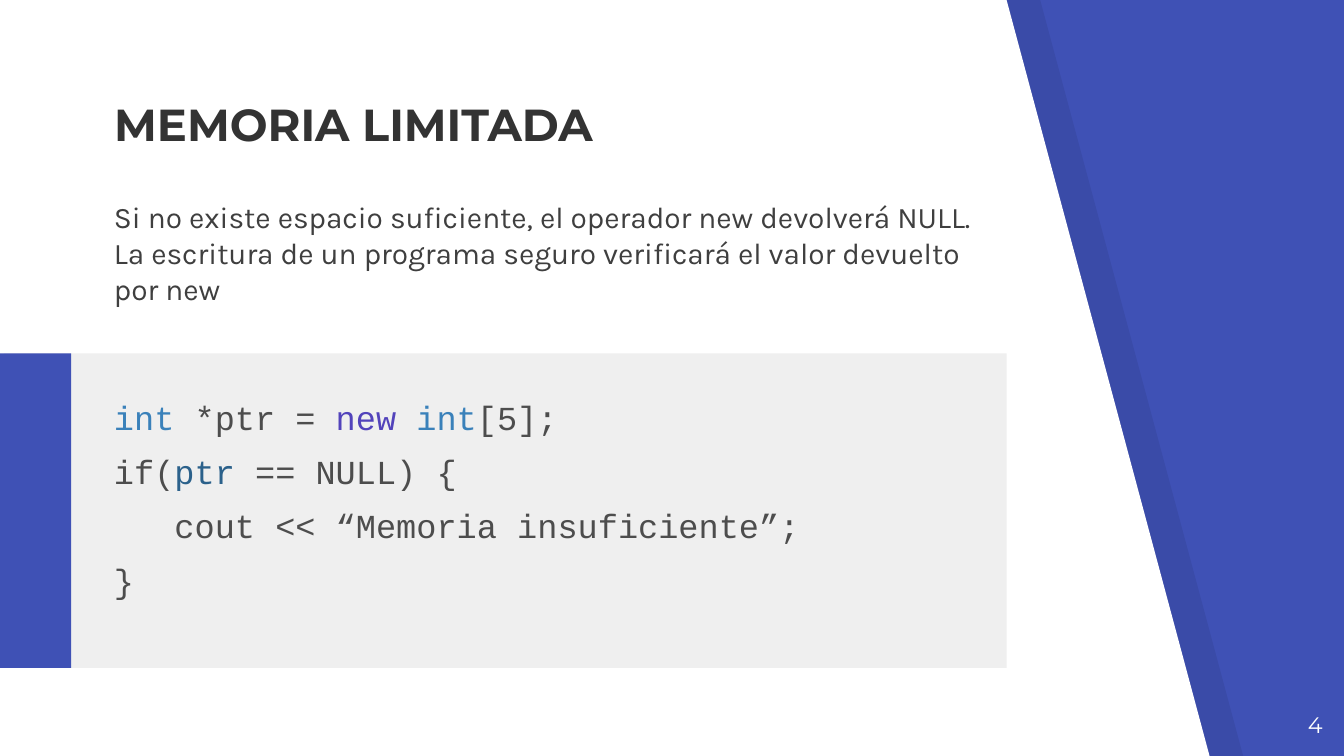
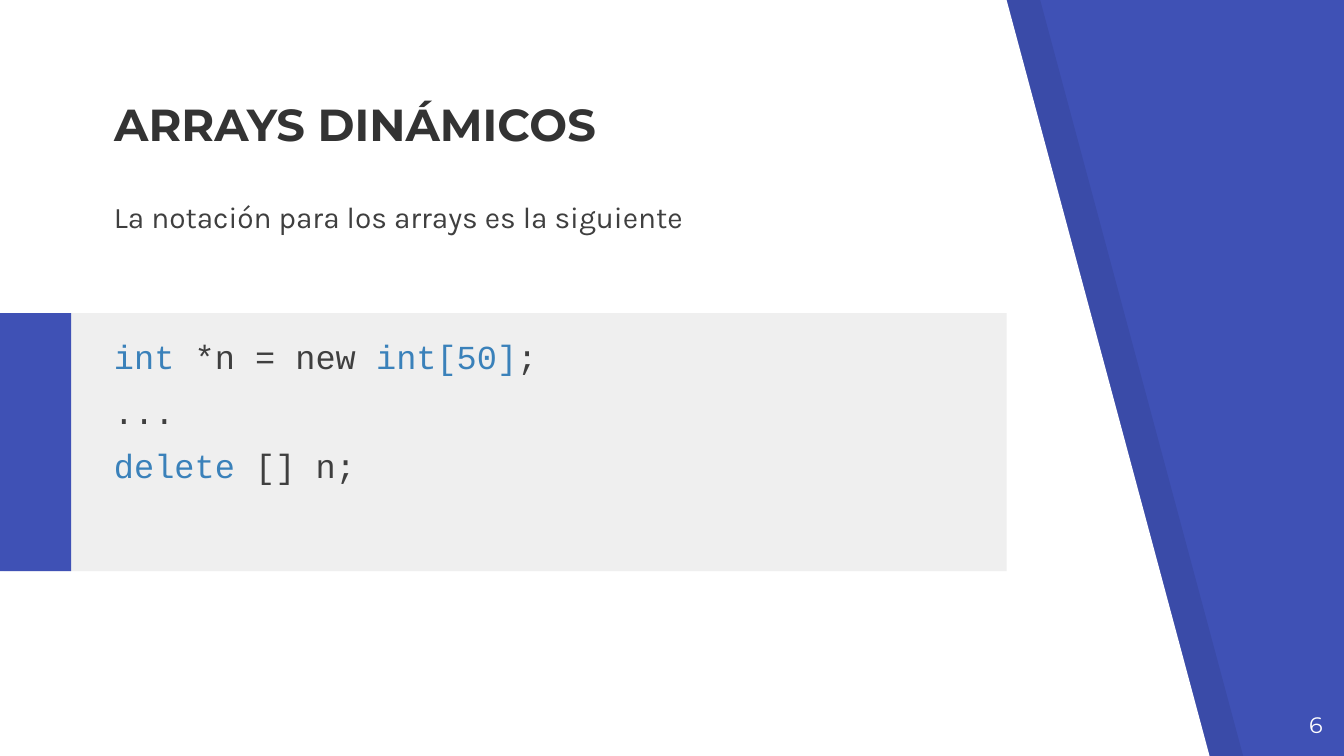
from lxml.etree import SubElement
from pptx import Presentation
from pptx.dml.color import RGBColor
from pptx.enum.shapes import MSO_SHAPE
from pptx.enum.text import MSO_ANCHOR, MSO_AUTO_SIZE, PP_ALIGN
from pptx.oxml.ns import qn
from pptx.util import Inches, Pt

WIDTH = Inches(10)
HEIGHT = WIDTH * 9 // 16

INDIGO, WHITE, BLACK, PALE = "3F51B5", "FFFFFF", "000000", "EFEFEF"
HEADING_INK, BODY_INK, CODE_INK = "333333", "3F3F3F", "4D4D4D"
TYPE_BLUE, NAME_BLUE, VIOLET = "3A81BA", "2B618B", "5243BB"
HEADING_FONT, BODY_FONT, CODE_FONT = "Montserrat", "Karla", "Courier New"

# The text column and the slanted page edge shared by both slides
COLUMN_LEFT, COLUMN_WIDTH = 0.75, 6.73
EDGE_TOP, EDGE_BOTTOM = 7.49, 9
SHADE_OFFSET = 0.25
CODE_INDENT = 0.45  # three characters of 18 pt code


def rgb(hex_colour):
    """Turn a hex string into a colour."""
    return RGBColor.from_string(hex_colour)


def paint(shape, colour, opacity=None):
    """Give a shape a flat fill without line or shadow."""
    shape.shadow.inherit = False
    shape.line.fill.background()
    shape.fill.solid()
    shape.fill.fore_color.rgb = rgb(colour)
    if opacity is not None:
        fill = shape._element.spPr.find(qn("a:solidFill"))
        SubElement(fill[0], qn("a:alpha")).set("val", str(opacity * 1000))


def add_slanted_page(slide, offset, colour, opacity=None):
    """Draw the page whose right edge leans outwards to the bottom."""
    left = Inches(offset)
    outline = slide.shapes.build_freeform(left, 0)
    outline.add_line_segments([
        (left, HEIGHT),
        (Inches(EDGE_BOTTOM + offset), HEIGHT),
        (Inches(EDGE_TOP + offset), 0),
    ], close=True)
    paint(outline.convert_to_shape(), colour, opacity)


def add_code_band(slide, top, height):
    """Draw the pale code panel with its indigo tab, as one group."""
    band = slide.shapes.add_group_shape()
    for left, right, colour in ((0.03, EDGE_TOP, PALE), (0, 0.53, INDIGO)):
        panel = band.shapes.add_shape(
            MSO_SHAPE.RECTANGLE, Inches(left), Inches(top),
            Inches(right - left), Inches(height))
        paint(panel, colour)


def set_frame(frame, anchor=MSO_ANCHOR.TOP, inset_top=0.1):
    """Set wrapping, anchor and insets of a text frame."""
    frame.word_wrap = True
    frame.auto_size = MSO_AUTO_SIZE.NONE
    frame.vertical_anchor = anchor
    frame.margin_left = frame.margin_right = frame.margin_bottom = Inches(0.1)
    frame.margin_top = Inches(inset_top)


def add_run(paragraph, text, font, size, colour, bold=False):
    """Append one formatted run."""
    run = paragraph.add_run()
    run.text = text
    run.font.name = font
    run.font.size = Pt(size)
    run.font.bold = bold
    run.font.color.rgb = rgb(colour)


def add_text_frame(slide, left, top, width, height, **frame_options):
    """Add a text box and return its frame."""
    box = slide.shapes.add_textbox(
        Inches(left), Inches(top), Inches(width), Inches(height))
    set_frame(box.text_frame, **frame_options)
    return box.text_frame


def set_title(slide, heading):
    """Place the title placeholder above the page and write the heading."""
    title = slide.shapes.title
    title.left, title.top = Inches(COLUMN_LEFT), Inches(0.77)
    title.width, title.height = Inches(COLUMN_WIDTH), Inches(0.45)
    slide.shapes._spTree.append(title._element)
    set_frame(title.text_frame, MSO_ANCHOR.BOTTOM)
    paragraph = title.text_frame.paragraphs[0]
    paragraph.alignment = PP_ALIGN.LEFT
    add_run(paragraph, heading, HEADING_FONT, 24, HEADING_INK, bold=True)


def add_explanation(slide, sentence):
    """Write the sentences under the title."""
    frame = add_text_frame(slide, COLUMN_LEFT, 1.38, COLUMN_WIDTH, 0.94)
    paragraph = frame.paragraphs[0]
    paragraph.space_before = Pt(6)
    add_run(paragraph, sentence, BODY_FONT, 16, BODY_INK)


def add_page_number(slide, number):
    """Write the page number in the lower right corner."""
    paragraph = add_text_frame(slide, 9.34, 5.19, 0.6, 0.43).paragraphs[0]
    paragraph.alignment = PP_ALIGN.RIGHT
    add_run(paragraph, str(number), HEADING_FONT, 12, WHITE)


def add_code(slide, top, height, lines):
    """Write code lines, each an indent level and its coloured pieces."""
    frame = add_text_frame(
        slide, COLUMN_LEFT, top, COLUMN_WIDTH, height, inset_top=0.12)
    for index, (level, pieces) in enumerate(lines):
        paragraph = frame.add_paragraph() if index else frame.paragraphs[0]
        paragraph.space_before = Pt(6)
        paragraph.line_spacing = 1.07
        if level:
            indent = Inches(CODE_INDENT * level)
            paragraph._p.get_or_add_pPr().set("marL", str(indent))
        for text, colour in pieces:
            add_run(paragraph, text, CODE_FONT, 18, colour)


def add_lesson(deck, number, heading, sentence, band, code_area, code):
    """Build one slide: slanted page, title, explanation and code."""
    slide = deck.slides.add_slide(deck.slide_layouts[5])
    add_slanted_page(slide, SHADE_OFFSET, BLACK, opacity=7)
    add_slanted_page(slide, 0, WHITE)
    add_code_band(slide, *band)
    add_explanation(slide, sentence)
    add_page_number(slide, number)
    set_title(slide, heading)
    add_code(slide, *code_area, code)


def main():
    """Build and save the two lessons."""
    deck = Presentation()
    deck.slide_width, deck.slide_height = WIDTH, HEIGHT
    backdrop = deck.slide_master.background.fill
    backdrop.solid()
    backdrop.fore_color.rgb = rgb(INDIGO)

    add_lesson(
        deck, 4, "MEMORIA LIMITADA",
        "Si no existe espacio suficiente, el operador new devolverá NULL. "
        "La escritura de un programa seguro verificará el valor devuelto "
        "por new",
        band=(2.63, 2.34), code_area=(2.81, 1.88),
        code=[
            (0, [("int", TYPE_BLUE), (" *ptr = ", CODE_INK),
                 ("new ", VIOLET), ("int", TYPE_BLUE), ("[5];", CODE_INK)]),
            (0, [("if(", CODE_INK), ("ptr", NAME_BLUE),
                 (" == NULL) {", CODE_INK)]),
            (1, [("cout << “Memoria insuficiente”;", CODE_INK)]),
            (0, [("}", CODE_INK)]),
        ])
    add_lesson(
        deck, 6, "ARRAYS DINÁMICOS",
        "La notación para los arrays es la siguiente",
        band=(2.33, 1.92), code_area=(2.36, 1.65),
        code=[
            (0, [("int", TYPE_BLUE), (" *n = new ", BODY_INK),
                 ("int[50]", TYPE_BLUE), (";", BODY_INK)]),
            (0, [("...", BODY_INK)]),
            (0, [("delete ", TYPE_BLUE), ("[] n;", BODY_INK)]),
        ])
    deck.save("out.pptx")


main()
